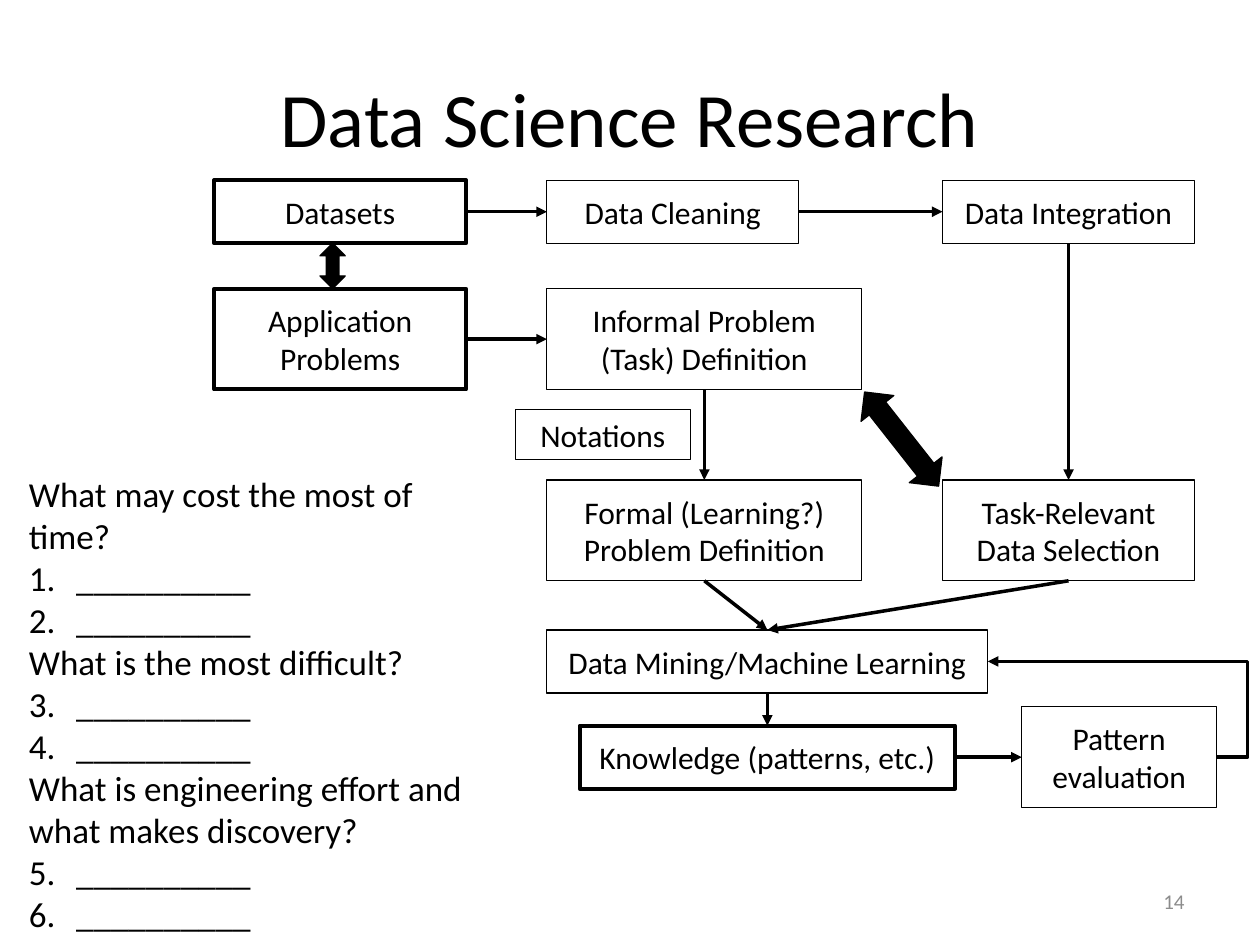
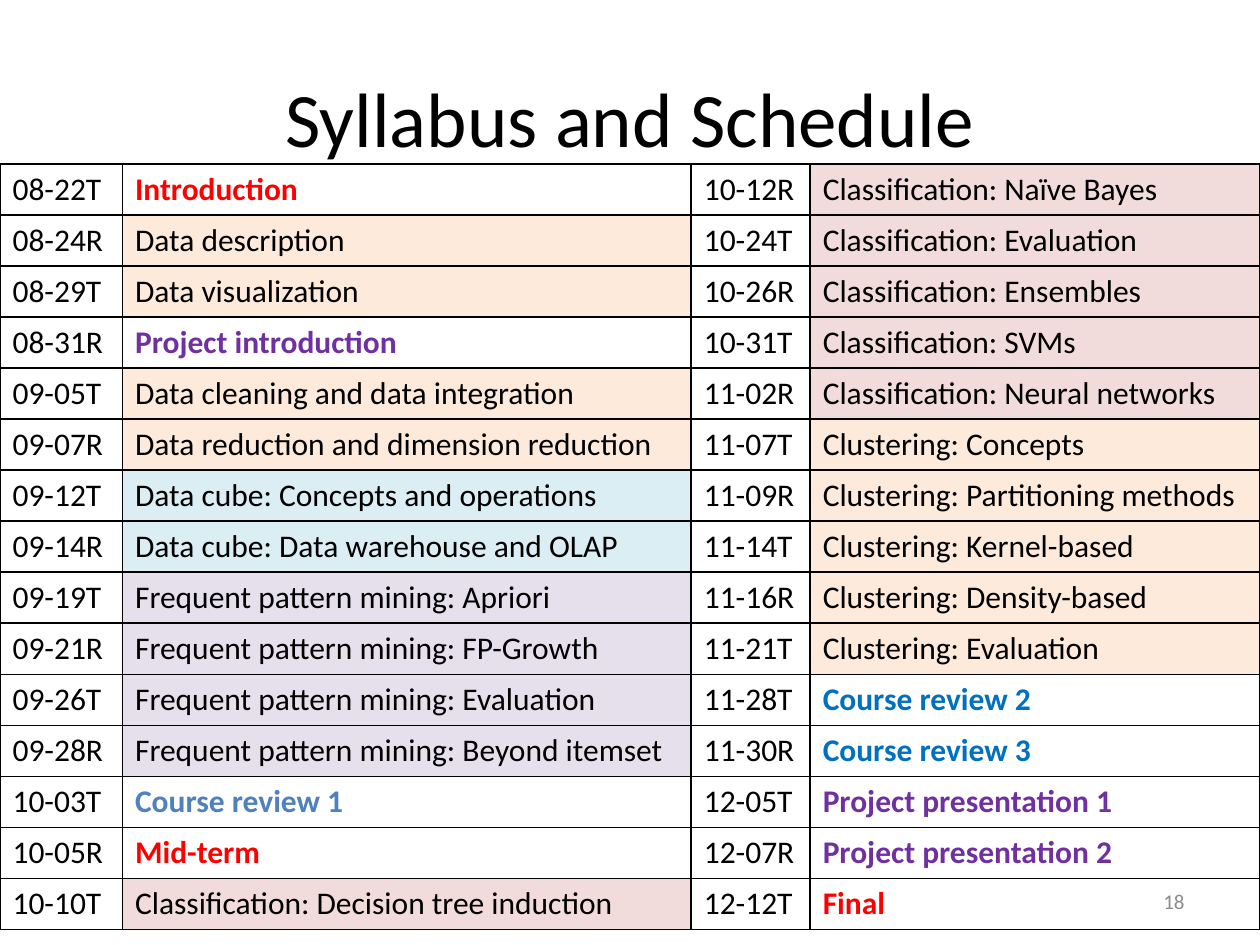
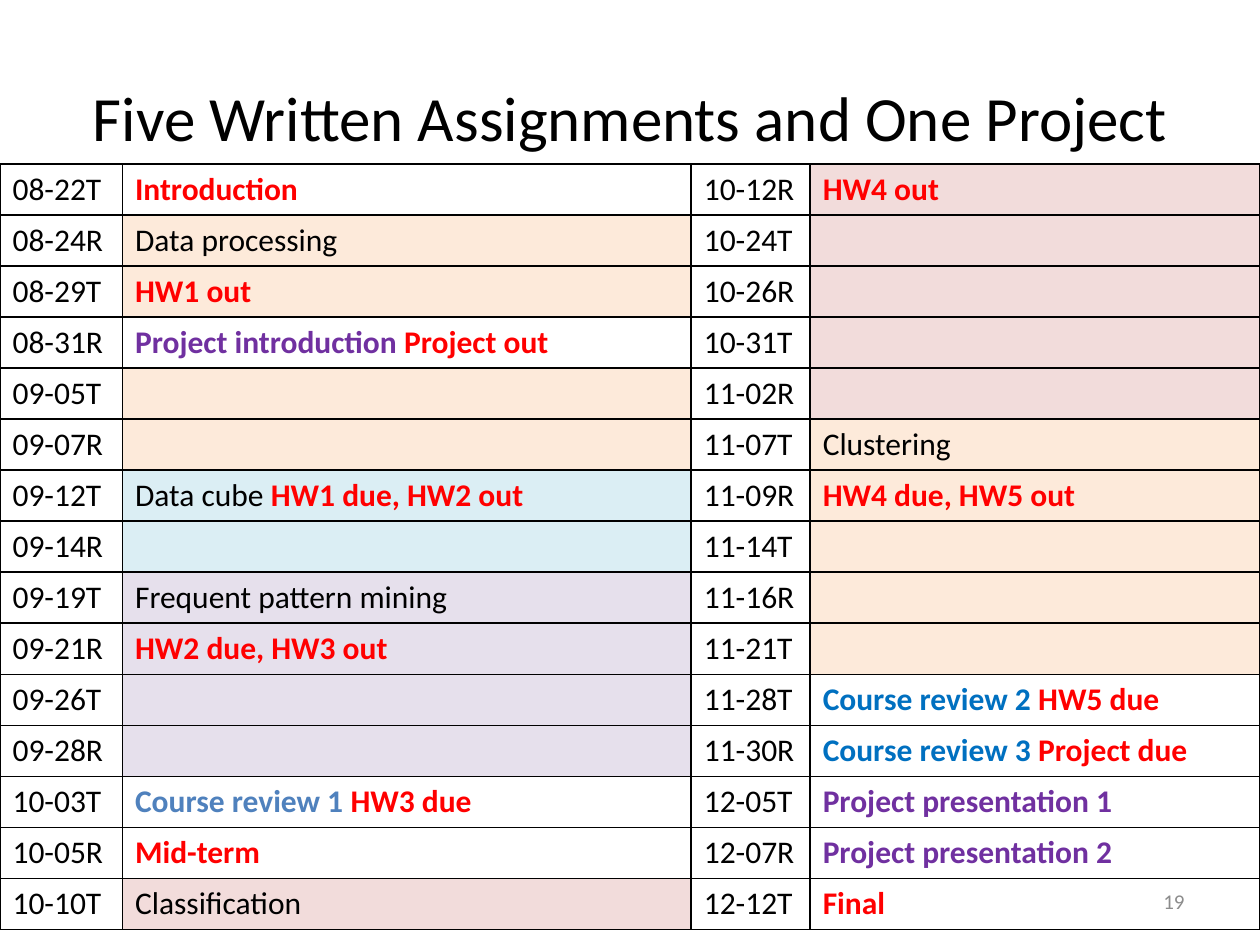
from lxml.etree import SubElement
from pptx import Presentation
from pptx.dml.color import RGBColor
from pptx.enum.shapes import MSO_CONNECTOR, MSO_SHAPE
from pptx.enum.text import MSO_ANCHOR, PP_ALIGN
from pptx.oxml.ns import qn
from pptx.util import Pt

RECT, ARROW = MSO_SHAPE.RECTANGLE, MSO_SHAPE.UP_DOWN_ARROW
LINE, ELBOW = MSO_CONNECTOR.STRAIGHT, MSO_CONNECTOR.ELBOW
MIDDLE, TOP = MSO_ANCHOR.MIDDLE, MSO_ANCHOR.TOP
LEFT, CENTER, RIGHT = PP_ALIGN.LEFT, PP_ALIGN.CENTER, PP_ALIGN.RIGHT
UP, WEST, DOWN, EAST = range(4)

FONT = "Calibri"
COLORS = {
    "black": "000000", "gray": "8C8C8C", "red": "FF0000",
    "violet": "7030A0", "blue": "0070C0", "steel": "4F81BD",
    "rose": "F2DCDB", "sand": "FDEADA", "sky": "DBEEF4", "mauve": "E6E0EC",
}
HUES = {
    "Project introduction": "violet", "Project presentation": "violet",
    "Course review 1": "steel", "Course review": "blue",
    "Introduction": "red", "Mid-term": "red", "Final": "red",
    "HW": "red", "Project": "red",
}

THIN, THICK = 0.75, 2.25
BOXES = {
    "Datasets": (122.4, 103, 144, 36, THICK),
    "Application Problems": (122.4, 165, 144, 57.6, THICK),
    "Informal Problem (Task) Definition": (312.5, 165, 180, 57.6, THIN),
    "Formal (Learning?) Problem Definition": (312.5, 274.3, 180, 57.6, THIN),
    "Data Cleaning": (312.5, 103, 144, 36, THIN),
    "Data Integration": (538.6, 103, 144, 36, THIN),
    "Task-Relevant Data Selection": (538.6, 274.3, 144, 57.6, THIN),
    "Data Mining/Machine Learning": (312.5, 360, 252, 36, THIN),
    "Knowledge (patterns, etc.)": (331.2, 414.7, 214.6, 36, THICK),
    "Pattern evaluation": (583.9, 403.9, 111.2, 57.6, THIN),
    "Notations": (294.5, 234, 100, 28.8, THIN),
}
ASKS = [
    "What may cost the most of time?",
    "What is the most difficult?",
    "What is engineering effort and what makes discovery?",
]

COLS = (70, 325, 68, 257)
ROW = 29.18
DAYS = (
    "08-22T 08-24R 08-29T 08-31R 09-05T 09-07R 09-12T 09-14R "
    "09-19T 09-21R 09-26T 09-28R 10-03T 10-05R 10-10T".split(),
    "10-12R 10-24T 10-26R 10-31T 11-02R 11-07T 11-09R 11-14T "
    "11-16R 11-21T 11-28T 11-30R 12-05T 12-07R 12-12T".split(),
)
TINTS = (
    [None] + ["sand"] * 2 + [None] + ["sand"] * 2 + ["sky"] * 2
    + ["mauve"] * 4 + [None] * 2 + ["rose"],
    ["rose"] * 5 + ["sand"] * 5 + [None] * 5,
)
TOPICS = (
    ["Introduction", "Data description", "Data visualization",
     "Project introduction", "Data cleaning and data integration",
     "Data reduction and dimension reduction",
     "Data cube: Concepts and operations",
     "Data cube: Data warehouse and OLAP",
     "Frequent pattern mining: Apriori",
     "Frequent pattern mining: FP-Growth",
     "Frequent pattern mining: Evaluation",
     "Frequent pattern mining: Beyond itemset",
     "Course review 1", "Mid-term",
     "Classification: Decision tree induction"],
    ["Classification: Naïve Bayes", "Classification: Evaluation",
     "Classification: Ensembles", "Classification: SVMs",
     "Classification: Neural networks", "Clustering: Concepts",
     "Clustering: Partitioning methods", "Clustering: Kernel-based",
     "Clustering: Density-based", "Clustering: Evaluation",
     "Course review 2", "Course review 3", "Project presentation 1",
     "Project presentation 2", "Final"],
)
TASKS = (
    ["Introduction", "Data processing", "HW1 out",
     "Project introduction |Project out", "", "",
     "Data cube |HW1 due, HW2 out", "", "Frequent pattern mining",
     "HW2 due, HW3 out", "", "", "Course review 1 |HW3 due", "Mid-term",
     "Classification"],
    ["HW4 out", "", "", "", "", "Clustering", "HW4 due, HW5 out", "", "", "",
     "Course review 2 |HW5 due", "Course review 3 |Project due",
     "Project presentation 1", "Project presentation 2", "Final"],
)


def rgb(name):
    return RGBColor.from_string(COLORS[name])


def style(run, size, color="black", bold=False):
    font = run.font
    font.name, font.size, font.bold = FONT, Pt(size), bold
    font.color.rgb = rgb(color)


def set_text(frame, text, size, color="black", align=LEFT, anchor=MIDDLE):
    frame.word_wrap = True
    frame.vertical_anchor = anchor
    frame.text = text
    for para in frame.paragraphs:
        para.alignment = align
        for run in para.runs:
            style(run, size, color)


def add_text(slide, text, spot, size, **look):
    box = slide.shapes.add_textbox(*map(Pt, spot))
    set_text(box.text_frame, text, size, **look)
    return box.text_frame


def add_page(deck, title, number, size=44):
    slide = deck.slides.add_slide(deck.slide_layouts[6])
    add_text(slide, title, (36, 21.6, 648, 90), size, align=CENTER)
    add_text(slide, number, (516, 500.5, 168, 28.8), 12, color="gray", align=RIGHT)
    return slide


def add_form(slide, kind, spot, width):
    form = slide.shapes.add_shape(kind, *map(Pt, spot))
    form.shadow.inherit = False
    form.line.color.rgb = rgb("black")
    form.line.width = Pt(width)
    return form


def add_box(slide, text, spot, width):
    box = add_form(slide, RECT, spot, width)
    box.fill.background()
    set_text(box.text_frame, text, 18, align=CENTER)
    return box


def add_arrow(slide, spot, turn=0):
    arrow = add_form(slide, ARROW, spot, THIN)
    arrow.fill.solid()
    arrow.fill.fore_color.rgb = rgb("black")
    arrow.rotation = turn


def add_link(slide, start, out, end, into, kind=LINE):
    link = slide.shapes.add_connector(kind, 0, 0, 0, 0)
    link.begin_connect(start, out)
    link.end_connect(end, into)
    link.line.color.rgb = rgb("black")
    link.line.width = Pt(2)
    SubElement(link.line._get_or_add_ln(), qn("a:tailEnd"), type="triangle")
    props = link._element.spPr
    SubElement(props, qn("a:effectLst"))
    return props.find(qn("a:prstGeom")).find(qn("a:avLst"))


def add_asks(slide):
    blank = "_" * 10
    lines = [line for ask in ASKS for line in (ask, blank, blank)]
    frame = add_text(slide, "\n".join(lines), (9.4, 266.4, 282.2, 250), 20, anchor=TOP)
    for place, para in enumerate(frame.paragraphs):
        group, step = divmod(place, 3)
        if step:
            props = para._p.get_or_add_pPr()
            props.set("marL", str(Pt(27)))
            props.set("indent", str(-Pt(27)))
            SubElement(props, qn("a:buFont"), typeface="+mj-lt")
            SubElement(props, qn("a:buAutoNum"), type="arabicPeriod",
                       startAt=str(2 * group + 1))


def add_edges(cell):
    props = cell._tc.get_or_add_tcPr()
    for side in "LRTB":
        edge = SubElement(props, qn("a:ln" + side), w=str(Pt(1)))
        fill = SubElement(edge, qn("a:solidFill"))
        SubElement(fill, qn("a:srgbClr"), val=COLORS["black"])


def find_hue(text):
    return next((hue for key, hue in HUES.items() if text.startswith(key)), "black")


def fill_cell(cell, text, tint=None):
    add_edges(cell)
    if tint:
        cell.fill.solid()
        cell.fill.fore_color.rgb = rgb(tint)
    else:
        cell.fill.background()
    para = cell.text_frame.paragraphs[0]
    for part in filter(None, text.split("|")):
        run = para.add_run()
        run.text = part
        hue = find_hue(part)
        style(run, 18, hue, hue != "black")


def add_plan(slide, plan):
    count = len(DAYS[0])
    spot = (0, 93.6, sum(COLS), ROW * count)
    table = slide.shapes.add_table(count, len(COLS), *map(Pt, spot)).table
    table.first_row = table.horz_banding = False
    for col, width in zip(table.columns, COLS):
        col.width = Pt(width)
    for row in table.rows:
        row.height = Pt(ROW)
    for half, (days, items, tints) in enumerate(zip(DAYS, plan, TINTS)):
        for row, (day, item, tint) in enumerate(zip(days, items, tints)):
            fill_cell(table.cell(row, 2 * half), day)
            fill_cell(table.cell(row, 2 * half + 1), item, tint)


def add_flow(slide):
    boxes = [add_box(slide, text, spot, width)
             for text, (*spot, width) in BOXES.items()]
    data, app, loose, formal, clean, merge, select, mine, know, judge, _ = boxes
    links = [
        (data, EAST, clean, WEST), (clean, EAST, merge, WEST),
        (merge, DOWN, select, UP), (app, EAST, loose, WEST),
        (loose, DOWN, formal, UP), (formal, DOWN, mine, UP),
        (select, DOWN, mine, UP), (mine, DOWN, know, UP),
        (know, EAST, judge, WEST),
    ]
    for link in links:
        add_link(slide, *link)
    bend = add_link(slide, judge, EAST, mine, EAST, ELBOW)
    SubElement(bend, qn("a:gd"), name="adj1", fmla="val -13700")
    add_arrow(slide, (182.9, 139, 14.4, 25.9))
    add_arrow(slide, (503.3, 216.7, 23.8, 68.4), 141.8)


def main():
    deck = Presentation()
    deck.slide_width, deck.slide_height = Pt(720), Pt(540)
    slide = add_page(deck, "Data Science Research", "14")
    add_flow(slide)
    add_asks(slide)
    add_plan(add_page(deck, "Syllabus and Schedule", "18"), TOPICS)
    title = "Five Written Assignments and One Project"
    add_plan(add_page(deck, title, "19", 36), TASKS)
    deck.save("out.pptx")


if __name__ == "__main__":
    main()
